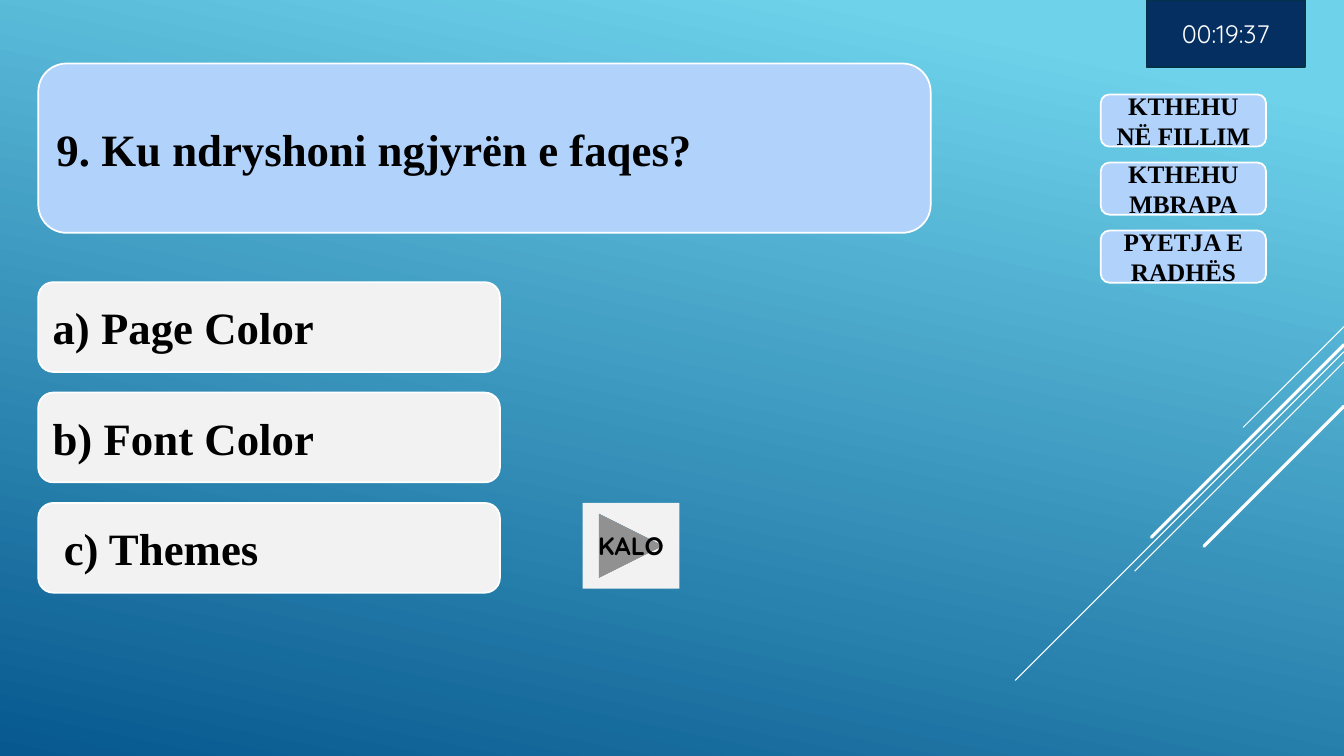
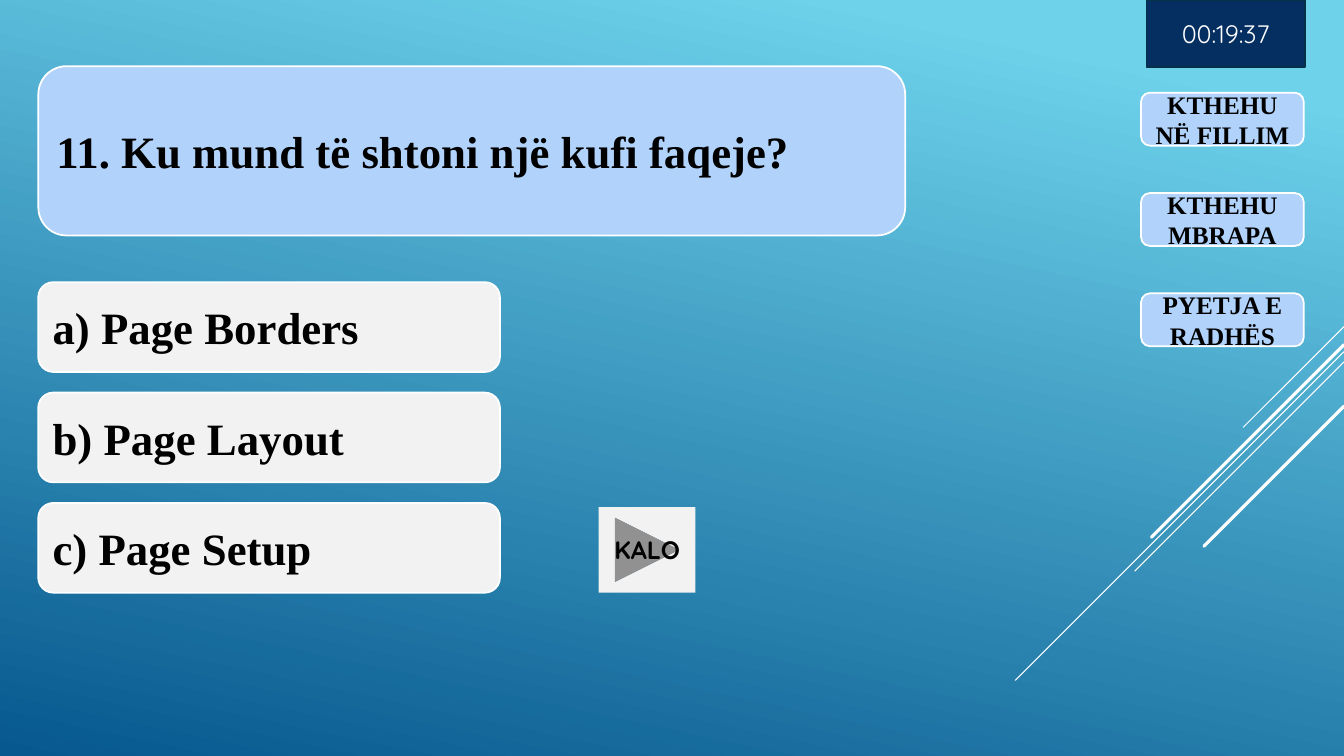
"""Build two quiz slides with a question, three answers, navigation and a timer."""
from lxml.etree import SubElement
from pptx import Presentation
from pptx.dml.color import RGBColor
from pptx.enum.shapes import MSO_CONNECTOR, MSO_SHAPE
from pptx.enum.text import MSO_ANCHOR, MSO_AUTO_SIZE, PP_ALIGN
from pptx.oxml.ns import qn
from pptx.util import Inches, Pt

COLORS = {
    "sky": "6ED2EB",
    "sea": "06588E",
    "panel": "B1D3FB",
    "answer": "F2F2F2",
    "timer": "052F61",
    "timer_edge": "043148",
    "white": "FFFFFF",
    "black": "000000",
}
SERIF, SANS = "Times New Roman", "Quicksand"
WIDTH, HEIGHT = Inches(13.33), Inches(7.5)
LEFT = 2.85
NAV_LABELS = ["KTHEHU NË FILLIM", "KTHEHU MBRAPA", "PYETJA E RADHËS"]
RAYS = [
    (43.2, 13.33, 0.75),
    (46.53, 43.47, 0.75),
    (47.87, 27.67, 0.75),
    (45.6, 25.47, 2.25),
    (53.73, 18.53, 2.25),
]
QUESTIONS = [
    {
        "title": "9. Ku ndryshoni ngjyrën e faqes?",
        "panel": (LEFT, 8.4, 66.4, 22.4),
        "answers": ["a) Page Color", "b) Font Color", " c) Themes"],
        "nav": (81.9, 12.5, 12.3, 6.9),
        "nav_step": 9,
        "skip": (43.35, 66.53),
    },
    {
        "title": "11. Ku mund të shtoni një kufi faqeje?",
        "panel": (LEFT, 8.75, 64.5, 22.4),
        "answers": ["a) Page Borders", "b) Page Layout", "c) Page Setup"],
        "nav": (84.9, 12.27, 12.1, 7),
        "nav_step": 13.27,
        "skip": (44.55, 67.07),
    },
]


def rgb(name):
    return RGBColor.from_string(COLORS[name])


def share(x, y, w, h):
    return [int(part * full / 100) for part, full in
            zip((x, y, w, h), (WIDTH, HEIGHT, WIDTH, HEIGHT))]


def write(sp, text, size, font=SERIF, color="black", bold=True, align=PP_ALIGN.LEFT):
    tf = sp.text_frame
    tf.text = text
    tf.word_wrap = True
    tf.vertical_anchor = MSO_ANCHOR.MIDDLE
    p = tf.paragraphs[0]
    p.alignment = align
    f = p.runs[0].font
    f.name, f.size, f.bold = font, Pt(size), bold
    f.color.rgb = rgb(color)


def add_box(s, kind, box, fill, edge="white"):
    sp = s.shapes.add_shape(kind, *share(*box))
    sp.shadow.inherit = False
    sp.fill.solid()
    sp.fill.fore_color.rgb = rgb(fill)
    if edge:
        sp.line.color.rgb = rgb(edge)
        sp.line.width = Pt(1.25)
    else:
        sp.line.fill.background()
    return sp


def add_stack(s, labels, box, step, fill, size, align):
    x, y, w, h = box
    for i, label in enumerate(labels):
        sp = add_box(s, MSO_SHAPE.ROUNDED_RECTANGLE, (x, y + i * step, w, h), fill)
        write(sp, label, size, align=align)


def add_question(s, text, box):
    panel = add_box(s, MSO_SHAPE.ROUNDED_RECTANGLE, box, "panel")
    title = s.shapes.title
    title.left, title.top, title.width, title.height = share(*box)
    write(title, text, 32)
    title.text_frame.auto_size = MSO_AUTO_SIZE.NONE
    title.text_frame.margin_left = title.text_frame.margin_right = Inches(0.18)
    panel.element.addnext(title.element)


def add_ray(s, top, reach, weight):
    y, d = int(HEIGHT * top / 100), int(HEIGHT * reach / 100)
    ray = s.shapes.add_connector(MSO_CONNECTOR.STRAIGHT, WIDTH, y, WIDTH - d, y + d)
    ray.line.color.rgb = rgb("white")
    ray.line.width = Pt(weight)
    sp_pr = ray.element.spPr
    sp_pr.get_or_add_ln().set("cap", "rnd")
    SubElement(sp_pr, qn("a:effectLst"))
    return ray


def style_master(master, s):
    fill = master.background.fill
    fill.gradient()
    fill.gradient_angle = 258
    for stop, color, pos in zip(fill.gradient_stops, ("sky", "sea"), (0.1, 1)):
        stop.color.rgb = rgb(color)
        stop.position = pos
    for i, spec_row in enumerate(RAYS):
        ray = add_ray(s, *spec_row)
        ray.element.nvCxnSpPr.cNvPr.id = 20 + i
        master.shapes.element.append(ray.element)


def fill_slide(s, q):
    add_question(s, q["title"], q["panel"])
    add_stack(s, q["answers"], (LEFT, 37.33, 34.35, 11.87), 14.6, "answer", 32,
              PP_ALIGN.LEFT)
    add_stack(s, NAV_LABELS, q["nav"], q["nav_step"], "panel", 18, PP_ALIGN.CENTER)
    skip = add_box(s, MSO_SHAPE.ACTION_BUTTON_FORWARD_OR_NEXT,
                   (*q["skip"], 7.2, 11.33), "answer", edge=None)
    write(skip, "KALO", 18, SANS, align=PP_ALIGN.CENTER)
    timer = add_box(s, MSO_SHAPE.RECTANGLE, (85.3, 0, 11.8, 8.85), "timer", "timer_edge")
    write(timer, "00:19:37", 18, SANS, "white", False, PP_ALIGN.CENTER)


def main():
    prs = Presentation()
    prs.slide_width, prs.slide_height = WIDTH, HEIGHT
    layout = prs.slide_layouts.get_by_name("Title Only")
    slides = [prs.slides.add_slide(layout) for _ in QUESTIONS]
    style_master(prs.slide_master, slides[0])
    for s, q in zip(slides, QUESTIONS):
        fill_slide(s, q)
    prs.save("out.pptx")


if __name__ == "__main__":
    main()
